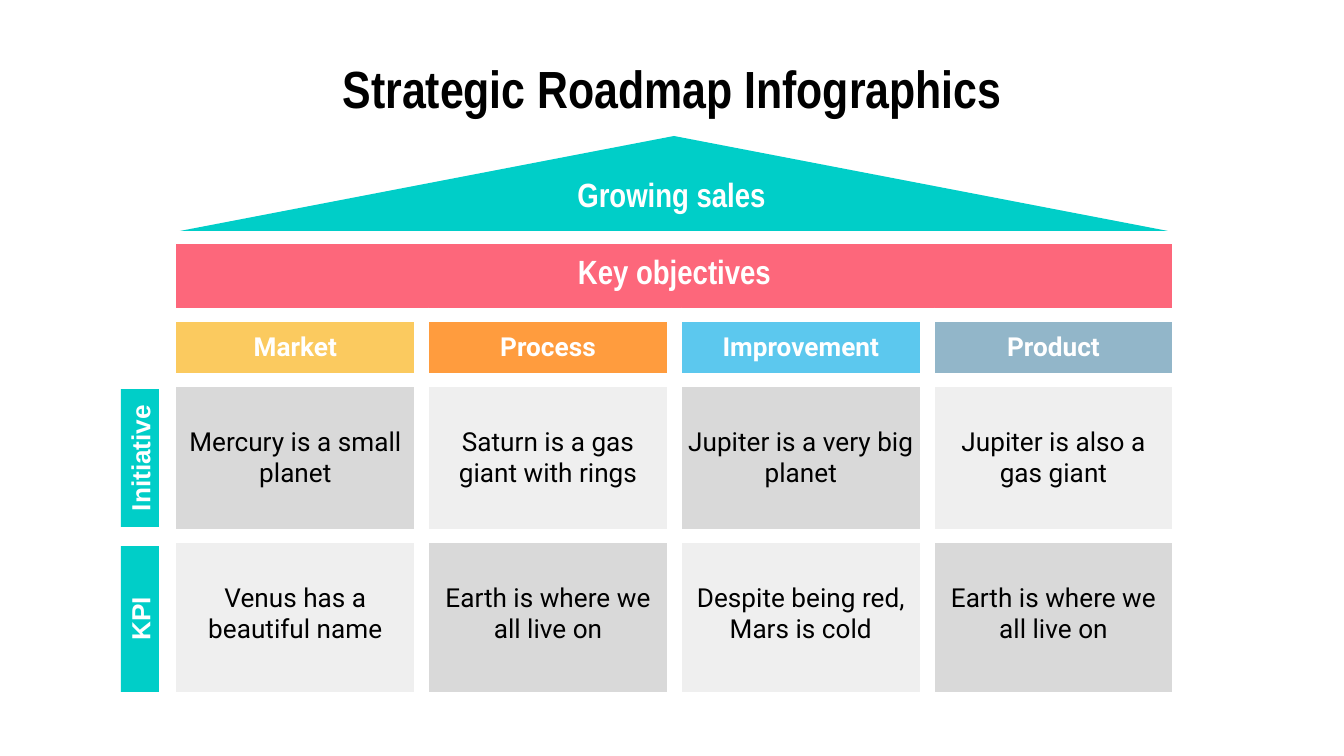
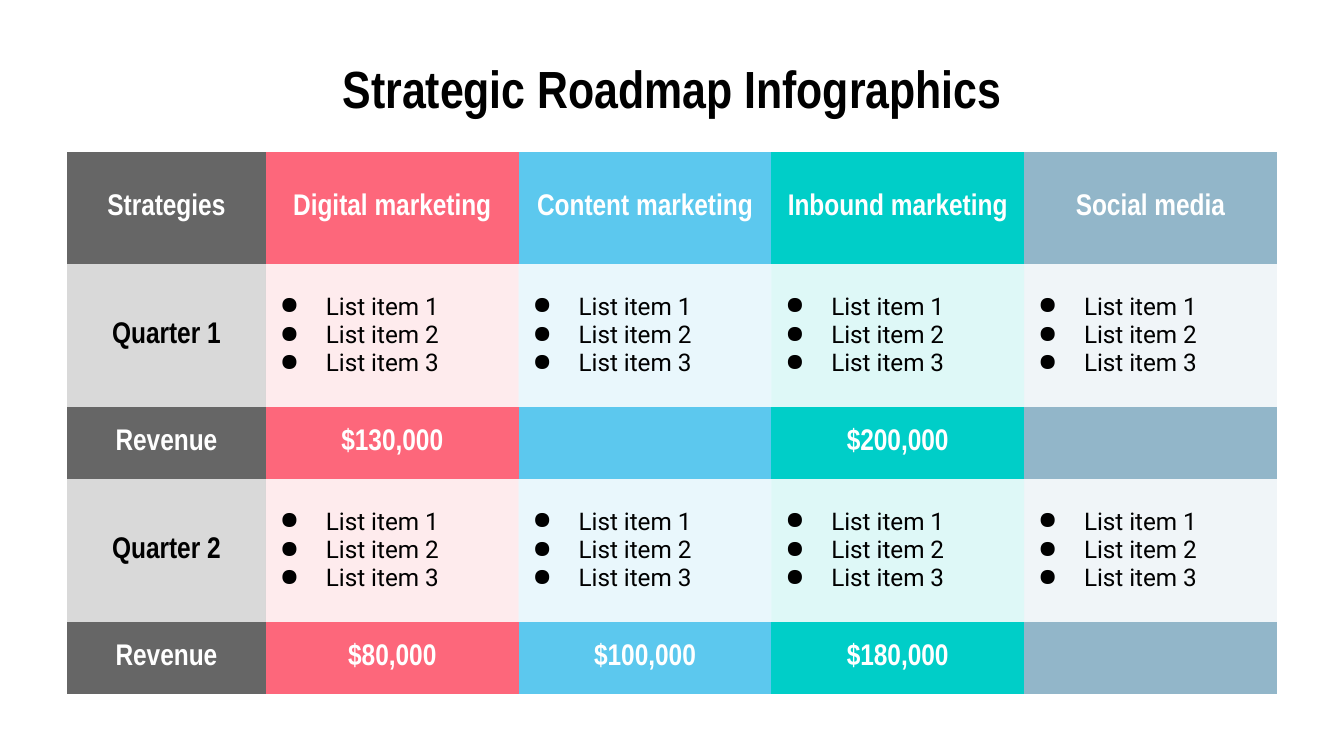
from lxml.etree import SubElement
from pptx import Presentation
from pptx.dml.color import RGBColor
from pptx.enum.shapes import MSO_SHAPE
from pptx.enum.text import MSO_ANCHOR, MSO_AUTO_SIZE, PP_ALIGN
from pptx.oxml.ns import qn
from pptx.util import Pt

SLIDE_W, SLIDE_H = 1344, 756
EMU_PER_PX = 9144000 / SLIDE_W
INSET = 13
HEADING_FONT, BODY_FONT, LABEL_FONT = "Arial Narrow", "Roboto", "Arial"
PLAIN_TABLE_STYLE = "{2D5ABB26-0587-4C30-8999-92F81FD0307C}"
TITLE = "Strategic Roadmap Infographics"

COLORS = {
    "black": "000000", "white": "FFFFFF",
    "dark": "666666", "gray": "D9D9D9", "pale": "EFEFEF",
    "teal": "00CEC8", "pink": "FD677B", "yellow": "FBCA5F",
    "orange": "FF9C3E", "sky": "5CC8EE", "steel": "92B6C9",
}

PILLARS = [
    ("Market", "yellow", "Mercury is a small planet", "Venus has a beautiful name"),
    ("Process", "orange", "Saturn is a gas giant with rings", "Earth is where we all live on"),
    ("Improvement", "sky", "Jupiter is a very big planet", "Despite being red, Mars is cold"),
    ("Product", "steel", "Jupiter is also a gas giant", "Earth is where we all live on"),
]

# Strategy, color, revenue of each quarter
STRATEGIES = [
    ("Digital marketing", "pink", ["$130,000", "$80,000"]),
    ("Content marketing", "sky", ["", "$100,000"]),
    ("Inbound marketing", "teal", ["$200,000", "$180,000"]),
    ("Social media", "steel", ["", ""]),
]
QUARTERS = ["Quarter 1", "Quarter 2"]
LIST_ITEMS = ["List item 1", "List item 2", "List item 3"]


def px(length):
    return round(length * EMU_PER_PX)


def place(box):
    return [px(length) for length in box]


def rgb(color):
    return RGBColor.from_string(COLORS[color])


# Text and fills
def set_insets(holder):
    holder.margin_left = holder.margin_right = px(INSET)
    holder.margin_top = holder.margin_bottom = px(INSET)
    holder.vertical_anchor = MSO_ANCHOR.MIDDLE


def style(paragraph, size, font_name, color="white", bold=True, align=PP_ALIGN.CENTER):
    paragraph.alignment = align
    font = paragraph.font
    font.size, font.name, font.bold = Pt(size), font_name, bold
    font.color.rgb = rgb(color)


def write(frame, text, size, font_name, color="white", bold=True, wrap=True):
    set_insets(frame)
    frame.word_wrap = wrap
    frame.auto_size = MSO_AUTO_SIZE.NONE
    frame.text = text
    style(frame.paragraphs[0], size, font_name, color, bold)


def write_cell(cell, text, fill, size, font_name, color="white", bold=True):
    set_insets(cell)
    cell.fill.solid()
    cell.fill.fore_color.rgb = rgb(fill)
    if text:
        cell.text = text
        style(cell.text_frame.paragraphs[0], size, font_name, color, bold)


def add_bullet(paragraph):
    props = paragraph._p.get_or_add_pPr()
    props.set("marL", str(px(47)))
    props.set("indent", str(px(-46)))
    SubElement(SubElement(props, qn("a:buClr")), qn("a:srgbClr"), val=COLORS["black"])
    SubElement(props, qn("a:buChar"), char="●")


def write_list_cell(cell, items, fill):
    set_insets(cell)
    cell.fill.solid()
    cell.fill.fore_color.rgb = rgb(fill)
    tint = cell._tc.get_or_add_tcPr().find(".//" + qn("a:srgbClr"))
    SubElement(tint, qn("a:alpha"), val="13000")
    cell.text = "\n".join(items)
    for paragraph in cell.text_frame.paragraphs:
        add_bullet(paragraph)
        style(paragraph, 13, BODY_FONT, "black", False, PP_ALIGN.LEFT)


def add_solid(slide, preset, box, color):
    solid = slide.shapes.add_shape(preset, *place(box))
    solid.shadow.inherit = False
    solid.fill.solid()
    solid.fill.fore_color.rgb = rgb(color)
    solid.line.fill.background()
    return solid


# Tables
def add_plain_table(slide, left, top, widths, heights):
    box = (left, top, sum(widths), sum(heights))
    table = slide.shapes.add_table(len(heights), len(widths), *place(box)).table
    table.first_row = table.horz_banding = False
    table._tbl.tblPr.find(qn("a:tableStyleId")).text = PLAIN_TABLE_STYLE
    for column, width in zip(table.columns, widths):
        column.width = px(width)
    for row, height in zip(table.rows, heights):
        row.height = px(height)
    return table


def add_gaps(cell, edges):
    props = cell._tc.get_or_add_tcPr()
    for edge in edges:
        line = SubElement(props, qn(f"a:ln{edge}"), w=str(Pt(9)))
        SubElement(SubElement(line, qn("a:solidFill")), qn("a:srgbClr"), val=COLORS["white"])


# Shared title
def add_titled_slide(deck):
    slide = deck.slides.add_slide(deck.slide_layouts[5])
    title = slide.shapes.title
    title.left, title.top, title.width, title.height = place((67, 60, 1210, 55))
    write(title.text_frame, TITLE, 28, HEADING_FONT, "black")
    return slide


# Roof of the house
def add_roof(slide, left, top, width, height):
    add_solid(slide, MSO_SHAPE.ISOSCELES_TRIANGLE, (left, top, width, height), "teal")
    label_width = 241
    label_left = left + (width - label_width) // 2 - 2
    label = slide.shapes.add_textbox(*place((label_left, top + 31, label_width, 55)))
    write(label.text_frame, "Growing sales", 18, HEADING_FONT)


# Objectives above four pillars
def add_pillars(slide, left, top, width):
    count = len(PILLARS)
    table = add_plain_table(slide, left, top, [width / count] * count, [78, 65, 156, 156])
    last_row = len(table.rows) - 1
    for r, row in enumerate(table.rows):
        for cell in row.cells:
            add_gaps(cell, "LRT" if r == last_row else "LRTB")
    table.cell(0, 0).merge(table.cell(0, count - 1))
    write_cell(table.cell(0, 0), "Key objectives", "pink", 18, HEADING_FONT)
    for c, (name, color, *details) in enumerate(PILLARS):
        write_cell(table.cell(1, c), name, color, 14, BODY_FONT)
        for r, detail in enumerate(details):
            shade = "pale" if (r + c) % 2 else "gray"
            write_cell(table.cell(r + 2, c), detail, shade, 14, BODY_FONT, "black", False)


# Side label reading upwards, filling the given upright box
def add_side_label(slide, text, left, top, width, height):
    shift = (height - width) / 2
    turned_box = (left - shift, top + shift, height, width)
    label = add_solid(slide, MSO_SHAPE.RECTANGLE, turned_box, "teal")
    label.rotation = 270
    write(label.text_frame, text, 14, LABEL_FONT, wrap=False)


def build_house_slide(deck):
    slide = add_titled_slide(deck)
    add_pillars(slide, 169, 237, 1011)
    add_roof(slide, 180, 136, 988, 95)
    add_side_label(slide, "Initiative", 121, 389, 38, 138)
    add_side_label(slide, "KPI", 121, 546, 38, 146)


# Strategies by quarter
def add_strategy_table(slide, left, top, width):
    label_width, count = 199, len(STRATEGIES)
    widths = [label_width] + [(width - label_width) / count] * count
    table = add_plain_table(slide, left, top, widths, [112] + [143, 72] * len(QUARTERS))

    def heading(row, column, text, fill, color="white"):
        write_cell(table.cell(row, column), text, fill, 16, HEADING_FONT, color)

    heading(0, 0, "Strategies", "dark")
    for q, quarter in enumerate(QUARTERS):
        heading(2 * q + 1, 0, quarter, "gray", "black")
        heading(2 * q + 2, 0, "Revenue", "dark")
    for c, (name, color, revenues) in enumerate(STRATEGIES, start=1):
        heading(0, c, name, color)
        for q, revenue in enumerate(revenues):
            write_list_cell(table.cell(2 * q + 1, c), LIST_ITEMS, color)
            heading(2 * q + 2, c, revenue, color)


def build_strategy_slide(deck):
    slide = add_titled_slide(deck)
    add_strategy_table(slide, 67, 152, 1210)


def main():
    deck = Presentation()
    deck.slide_width, deck.slide_height = px(SLIDE_W), px(SLIDE_H)
    build_house_slide(deck)
    build_strategy_slide(deck)
    deck.save("out.pptx")


if __name__ == "__main__":
    main()
